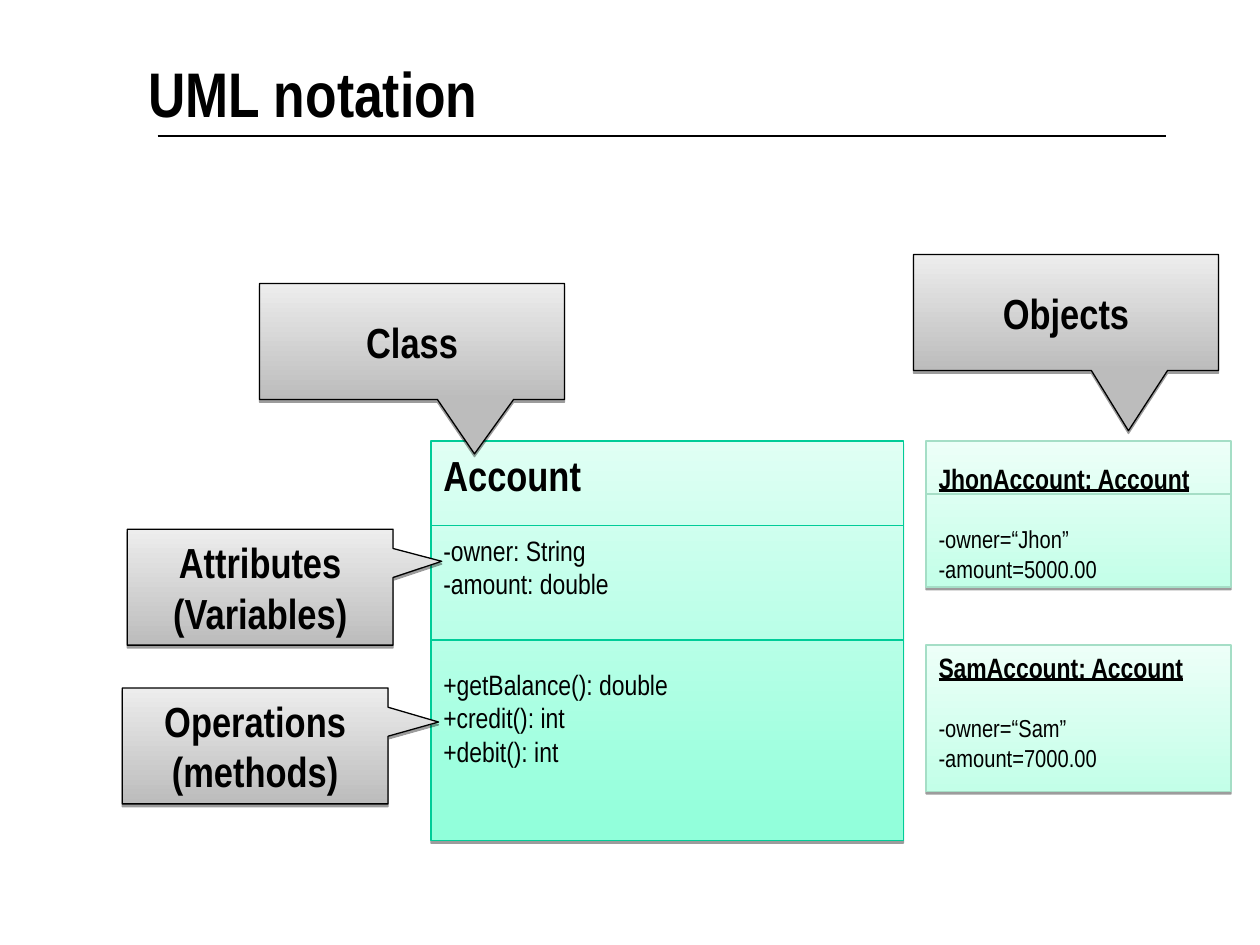
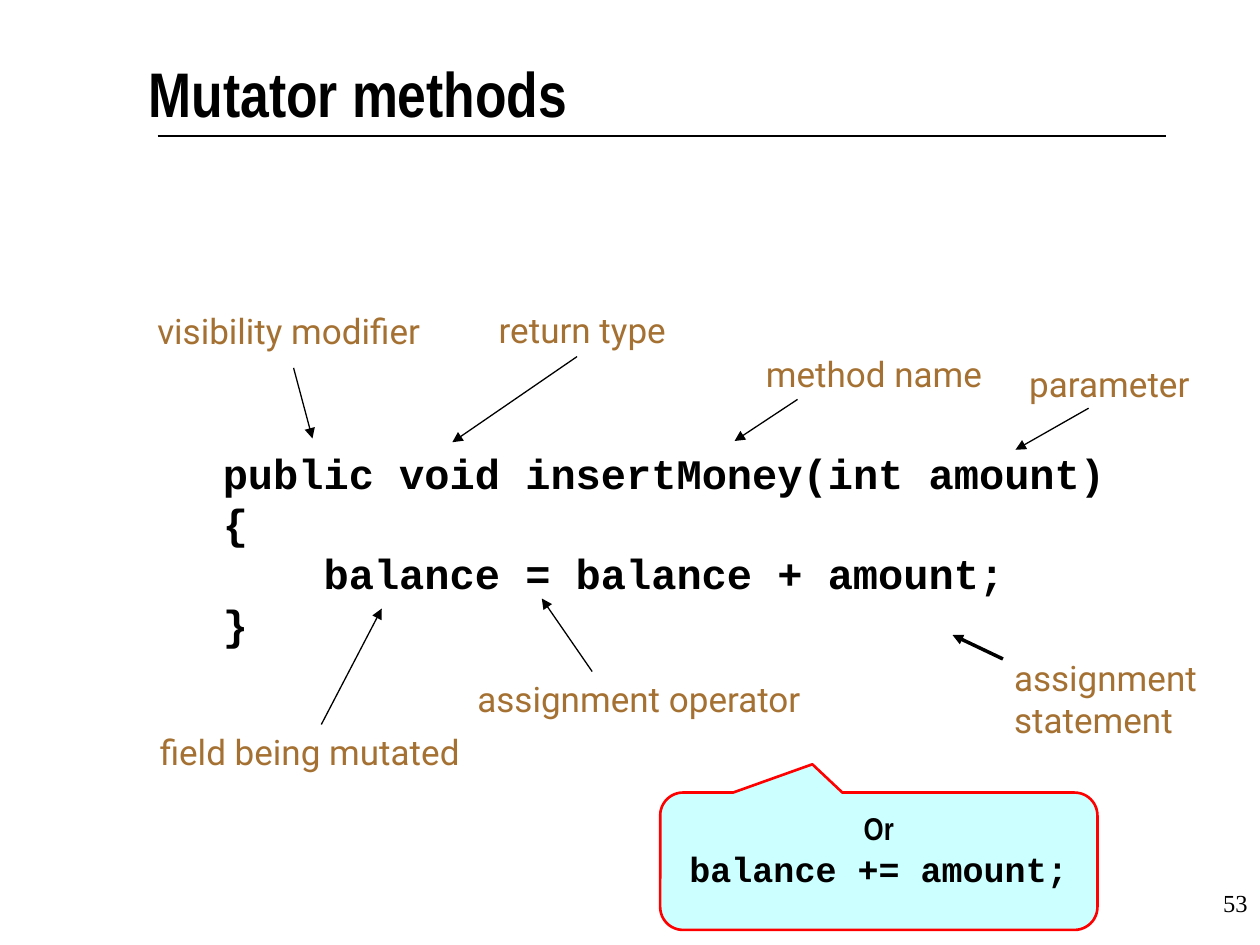
from lxml import etree
from pptx import Presentation
from pptx.dml.color import RGBColor
from pptx.enum import shapes, text
from pptx.oxml import ns
from pptx.util import Inches, Pt

COLORS = {
    "black": "000000",
    "label": "A57133",
    "class_dark": "90FFDA",
    "class_light": "E0FFF4",
    "class_line": "00CC98",
    "object_dark": "C3FFE8",
    "object_light": "EDFFF8",
    "object_line": "A5DEC6",
    "callout_dark": "BCBCBC",
    "callout_light": "EDEDED",
    "note": "CCFFFF",
    "note_line": "FF0000",
}
SANS, CODE, LABEL, SERIF = "Arial Narrow", "Courier New", "Roboto", "Times New Roman"
LEFT, CENTER, RIGHT = text.PP_ALIGN.LEFT, text.PP_ALIGN.CENTER, text.PP_ALIGN.RIGHT


def rgb(name):
    return RGBColor.from_string(COLORS[name])


def add_child(parent, tag, **attributes):
    return etree.SubElement(parent, ns.qn(tag), attributes)


def style(paragraph, size, font=SANS, bold=False, underline=False,
          color="black", align=LEFT, before=0):
    paragraph.alignment = align
    paragraph.space_before = Pt(before)
    paragraph.font.name = font
    paragraph.font.size = Pt(size)
    paragraph.font.bold = bold
    paragraph.font.underline = underline
    paragraph.font.color.rgb = rgb(color)


def write(frame, lines):
    """Fill a text frame with (text, style options) pairs, one paragraph each."""
    for index, (line, options) in enumerate(lines):
        paragraph = frame.add_paragraph() if index else frame.paragraphs[0]
        paragraph.text = line
        style(paragraph, **options)


def add_line(slide, start, end, color="black", width=0.75, arrow=False):
    points = [Inches(value) for value in (*start, *end)]
    line = slide.shapes.add_connector(shapes.MSO_CONNECTOR.STRAIGHT, *points)
    line.line.color.rgb = rgb(color)
    line.line.width = Pt(width)
    if arrow:
        add_child(line.line._get_or_add_ln(), "a:tailEnd", type="triangle")
    add_child(line.element.spPr, "a:effectLst")
    return line


def add_text(slide, left, top, width, height, lines, wrap=False):
    box = slide.shapes.add_textbox(*map(Inches, (left, top, width, height)))
    box.text_frame.word_wrap = wrap
    write(box.text_frame, lines)
    return box


def add_box(slide, kind, bounds, line_color, line_width=0.75):
    shape = slide.shapes.add_shape(kind, *map(Inches, bounds))
    shape.shadow.inherit = False
    shape.line.color.rgb = rgb(line_color)
    shape.line.width = Pt(line_width)
    shape.text_frame.word_wrap = True
    return shape


def shade(shape, palette):
    """Give a shape a light-to-dark vertical gradient and a thin drop shadow."""
    shape.fill.gradient()
    shape.fill.gradient_angle = 90
    for stop, tone in zip(shape.fill.gradient_stops, ("dark", "light")):
        stop.color.rgb = rgb(f"{palette}_{tone}")
    effects = shape.element.spPr.find(ns.qn("a:effectLst"))
    shadow = add_child(effects, "a:outerShdw", blurRad="0", dist=str(Pt(1.6)),
                       dir="5400000", rotWithShape="0")
    black = add_child(shadow, "a:srgbClr", val=COLORS["black"])
    add_child(black, "a:alpha", val="38000")


def add_uml_box(slide, bounds, palette, dividers, inset, lines):
    """A class or object box; dividers are the heights of its inner lines."""
    left, _, width, _ = bounds
    box = add_box(slide, shapes.MSO_SHAPE.RECTANGLE, bounds, f"{palette}_line")
    shade(box, palette)
    box.text_frame.vertical_anchor = text.MSO_ANCHOR.TOP
    box.text_frame.margin_top = Inches(inset)
    write(box.text_frame, lines)
    for y in dividers:
        add_line(slide, (left, y), (left + width, y), f"{palette}_line")


def add_object_box(slide, top, name, values, inset, dividers=()):
    member = dict(size=14)
    add_uml_box(slide, (7.35, top, 2.42, 1.16), "object", dividers, inset, [
        (f"{name}: Account", dict(size=16, bold=True, underline=True)),
        (values[0], dict(size=14, before=17)),
        *[(value, member) for value in values[1:]],
    ])


def add_callout(slide, caption, bounds, pointer):
    callout = add_box(slide, shapes.MSO_SHAPE.RECTANGULAR_CALLOUT, bounds, "black")
    callout.adjustments[0], callout.adjustments[1] = pointer
    shade(callout, "callout")
    callout.text_frame.vertical_anchor = text.MSO_ANCHOR.MIDDLE
    write(callout.text_frame, [(caption, dict(size=24, bold=True, align=CENTER))])


def set_up_layout(presentation):
    """Place the title and the rule under it on the layout all slides use."""
    layout = presentation.slide_layouts[5]
    title = layout.placeholders[0]
    title.left, title.top = Inches(1.18), Inches(0.39)
    title.width, title.height = Inches(7.65), Inches(0.75)
    return layout


def add_slide(presentation, layout, heading):
    slide = presentation.slides.add_slide(layout)
    frame = slide.shapes.title.text_frame
    frame.margin_left = frame.margin_right = frame.margin_bottom = 0
    frame.margin_top = Inches(0.04)
    frame.vertical_anchor = text.MSO_ANCHOR.TOP
    frame.auto_size = text.MSO_AUTO_SIZE.NONE
    write(frame, [(heading, dict(size=36, bold=True))])
    return slide


def build_uml_notation(slide):
    member = dict(size=16)
    add_uml_box(slide, (3.42, 3.5, 3.75, 3.17), "class", (4.17, 5.08), 0.07, [
        ("Account", dict(size=24, bold=True)),
        ("-owner: String", dict(size=16, before=19)),
        ("-amount: double", member),
        ("+getBalance(): double", dict(size=16, before=38)),
        ("+credit(): int", member),
        ("+debit(): int", member),
    ])
    for caption, bounds, pointer in [
        ("Class", (2.06, 2.25, 2.42, 0.92), (0.205, 0.97)),
        ("Operations (methods)", (0.97, 5.46, 2.11, 0.92), (0.69, -0.206)),
        ("Attributes (Variables)", (1.01, 4.2, 2.11, 0.92), (0.683, -0.223)),
        ("Objects", (7.25, 2.02, 2.42, 0.92), (0.205, 1.02)),
    ]:
        add_callout(slide, caption, bounds, pointer)
    add_object_box(slide, 3.5, "JhonAccount", ("-owner=“Jhon”", "-amount=5000.00"),
                   0.16, dividers=(3.92,))
    add_object_box(slide, 5.12, "SamAccount", ("-owner=“Sam”", "-amount=7000.00"), 0.04)


def build_mutator_methods(slide):
    add_text(slide, 7.92, 7, 2.08, 0.5,
             [("53", dict(size=14, font=SERIF, align=RIGHT))], wrap=True)

    code = dict(size=24, font=CODE, bold=True)
    lines = ["public void insertMoney(int amount)", "{",
             "balance = balance + amount;", "}"]
    method = add_text(slide, 1.67, 3.5, 7.2, 1.7, [(line, code) for line in lines])
    body = method.text_frame.paragraphs[2]
    body._p.get_or_add_pPr().set("marL", str(Inches(0.8)))

    for caption, left, top, width, start, end in [
        ("visibility modifier", 1.15, 2.41, 2.43, (2.33, 2.92), (2.48, 3.48)),
        ("return type", 3.86, 2.4, 1.67, (4.58, 2.83), (3.59, 3.51)),
        ("method name", 5.98, 2.75, 2.04, (6.33, 3.17), (5.83, 3.5)),
        ("parameter", 8.07, 2.83, 1.59, (8.64, 3.24), (8.06, 3.57)),
        ("field being mutated", 1.17, 5.75, 2.77, (2.55, 5.75), (3.03, 4.83)),
        ("assignment operator", 3.69, 5.33, 2.95, (4.7, 5.33), (4.3, 4.75)),
        ("assignment statement", 7.95, 5.16, 1.77, (7.96, 5.23), (7.56, 5.04)),
    ]:
        is_statement = caption == "assignment statement"
        add_text(slide, left, top, width, 0.77 if is_statement else 0.44,
                 [(caption, dict(size=20, font=LABEL, color="label"))],
                 wrap=is_statement)
        add_line(slide, start, end, width=2 if is_statement else 0.75, arrow=True)

    note = add_box(slide, shapes.MSO_SHAPE.ROUNDED_RECTANGULAR_CALLOUT,
                   (5.24, 6.29, 3.47, 1.09), "note_line", 1.5)
    note.adjustments[0], note.adjustments[1] = -0.152, -0.706
    note.fill.solid()
    note.fill.fore_color.rgb = rgb("note")
    note.text_frame.vertical_anchor = text.MSO_ANCHOR.TOP
    note.text_frame.margin_top = Inches(0.08)
    write(note.text_frame, [
        ("Or", dict(size=18, bold=True, align=CENTER)),
        ("balance += amount;", dict(size=20, font=CODE, bold=True, align=CENTER)),
    ])


def main():
    presentation = Presentation()
    presentation.slide_width, presentation.slide_height = Inches(10), Inches(7.5)
    layout = set_up_layout(presentation)

    notation = add_slide(presentation, layout, "UML notation")
    title_rule = add_line(notation, (1.25, 1.08), (9.25, 1.08))
    layout.shapes.element.append(title_rule.element)
    build_uml_notation(notation)
    build_mutator_methods(add_slide(presentation, layout, "Mutator methods"))

    presentation.save("out.pptx")


if __name__ == "__main__":
    main()
